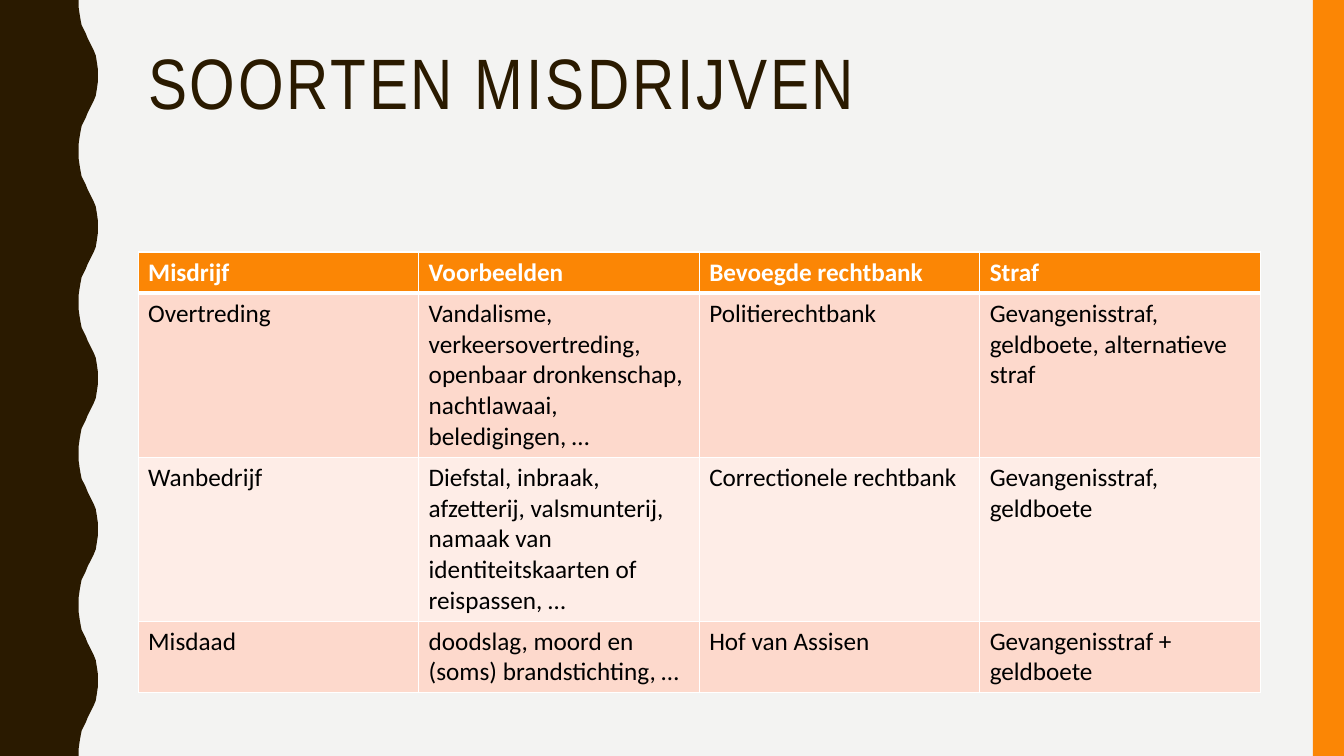
from lxml import etree
from pptx import Presentation
from pptx import util as u
from pptx.dml.color import RGBColor
from pptx.enum import shapes, text
from pptx.oxml.ns import qn

BROWN, ORANGE, WHITE, BLACK = "2A1A00", "FB8605", "FFFFFF", "000000"
BANDS = ["FDD9CC", "FEEDE7"]
ROWS = [
    ["Misdrijf", "Voorbeelden", "Bevoegde rechtbank", "Straf"],
    ["Overtreding",
     "Vandalisme, verkeersovertreding, openbaar dronkenschap, "
     "nachtlawaai, beledigingen, …",
     "Politierechtbank", "Gevangenisstraf, geldboete, alternatieve straf"],
    ["Wanbedrijf",
     "Diefstal, inbraak, afzetterij, valsmunterij, namaak van "
     "identiteitskaarten of reispassen, …",
     "Correctionele rechtbank", "Gevangenisstraf, geldboete"],
    ["Misdaad", "doodslag, moord en (soms) brandstichting, …",
     "Hof van Assisen", "Gevangenisstraf + geldboete"],
]
HEIGHTS = [0.41, 1.62, 1.62, 0.71]
# One half wave, trough to crest: (x, y) in inches
HALF = [(0.78, 0), (0.78, 0.07), (0.79, 0.14), (0.8, 0.2), (0.81, 0.25),
        (0.83, 0.29), (0.85, 0.33), (0.87, 0.38), (0.89, 0.42), (0.91, 0.46),
        (0.93, 0.5), (0.95, 0.55), (0.96, 0.61), (0.97, 0.68), (0.97, 0.75)]


def paint(fill, color):
    """Set a solid fill from a hex string."""
    fill.solid()
    fill.fore_color.rgb = RGBColor.from_string(color)


def write(frame, words, font="Calibri", size=18, color=BLACK, bold=False,
          space=0, lead=1.0):
    """Put one formatted paragraph in a text frame."""
    par = frame.paragraphs[0]
    par.line_spacing = lead
    run = par.add_run()
    run.text = words
    run.font.name, run.font.size, run.font.bold = font, u.Pt(size), bold
    paint(run.font.fill, color)
    if space:
        run._r.get_or_add_rPr().set("spc", str(space * 100))
    par.alignment = text.PP_ALIGN.LEFT


def plain(shape, color):
    """Fill a shape and drop its line and shadow."""
    paint(shape.fill, color)
    shape.line.fill.background()
    shape.shadow.inherit = False


def add_wave(slide, left, top, height):
    """Draw the wavy band along the left edge."""
    pitch = HALF[-1][1]
    points = []
    for i in range(round(height / pitch)):
        half = HALF if i % 2 == 0 else [(x, pitch - y) for x, y in HALF[::-1]]
        points += [(left + x, top + i * pitch + y) for x, y in half]
    points.append((left, top + height))
    pen = slide.shapes.build_freeform(u.Inches(left), u.Inches(top))
    pen.add_line_segments([(u.Inches(x), u.Inches(y)) for x, y in points])
    plain(pen.convert_to_shape(), BROWN)


def add_bar(slide, *box):
    """Draw the orange bar along the right edge."""
    bar = slide.shapes.add_shape(shapes.MSO_SHAPE.RECTANGLE, *map(u.Inches, box))
    plain(bar, ORANGE)


def add_title(slide, words, *box):
    """Place and format the title placeholder."""
    title = slide.shapes.title
    title.left, title.top, title.width, title.height = map(u.Inches, box)
    frame = title.text_frame
    frame.word_wrap = True
    frame.auto_size = text.MSO_AUTO_SIZE.NONE
    frame.vertical_anchor = text.MSO_ANCHOR.TOP
    write(frame, words, font="Arial Narrow", size=51, color=BROWN,
          space=2, lead=0.9)


def add_edges(cell, **widths):
    """Give a cell white borders; widths in points by side."""
    props = cell._tc.get_or_add_tcPr()
    for i, side in enumerate("LRTB"):
        line = etree.Element(qn("a:ln" + side), w=str(u.Pt(widths.get(side, 1))))
        fill = etree.SubElement(line, qn("a:solidFill"))
        etree.SubElement(fill, qn("a:srgbClr"), val=WHITE)
        props.insert(i, line)


def add_grid(slide, left, top, width):
    """Build the table of offences."""
    box = map(u.Inches, (left, top, width, sum(HEIGHTS)))
    grid = slide.shapes.add_table(len(ROWS), len(ROWS[0]), *box).table
    for r, (row, height) in enumerate(zip(ROWS, HEIGHTS)):
        grid.rows[r].height = u.Inches(height)
        head = r == 0
        for c, words in enumerate(row):
            cell = grid.cell(r, c)
            paint(cell.fill, ORANGE if head else BANDS[(r - 1) % 2])
            add_edges(cell, T=3 if r == 1 else 1, B=3 if head else 1)
            write(cell.text_frame, words, color=WHITE if head else BLACK,
                  bold=head)


def main():
    """Build and save the slide."""
    deck = Presentation()
    deck.slide_width, deck.slide_height = u.Inches(13.33), u.Inches(7.5)
    slide = deck.slides.add_slide(deck.slide_layouts.get_by_name("Title Only"))
    paint(slide.background.fill, "F3F3F2")
    add_wave(slide, 0, 0, 7.5)
    add_bar(slide, 13.02, 0, 0.31, 7.5)
    add_title(slide, "SOORTEN MISDRIJVEN", 1.37, 0.42, 11.13, 1.63)
    add_grid(slide, 1.37, 2.5, 11.13)
    deck.save("out.pptx")


main()
